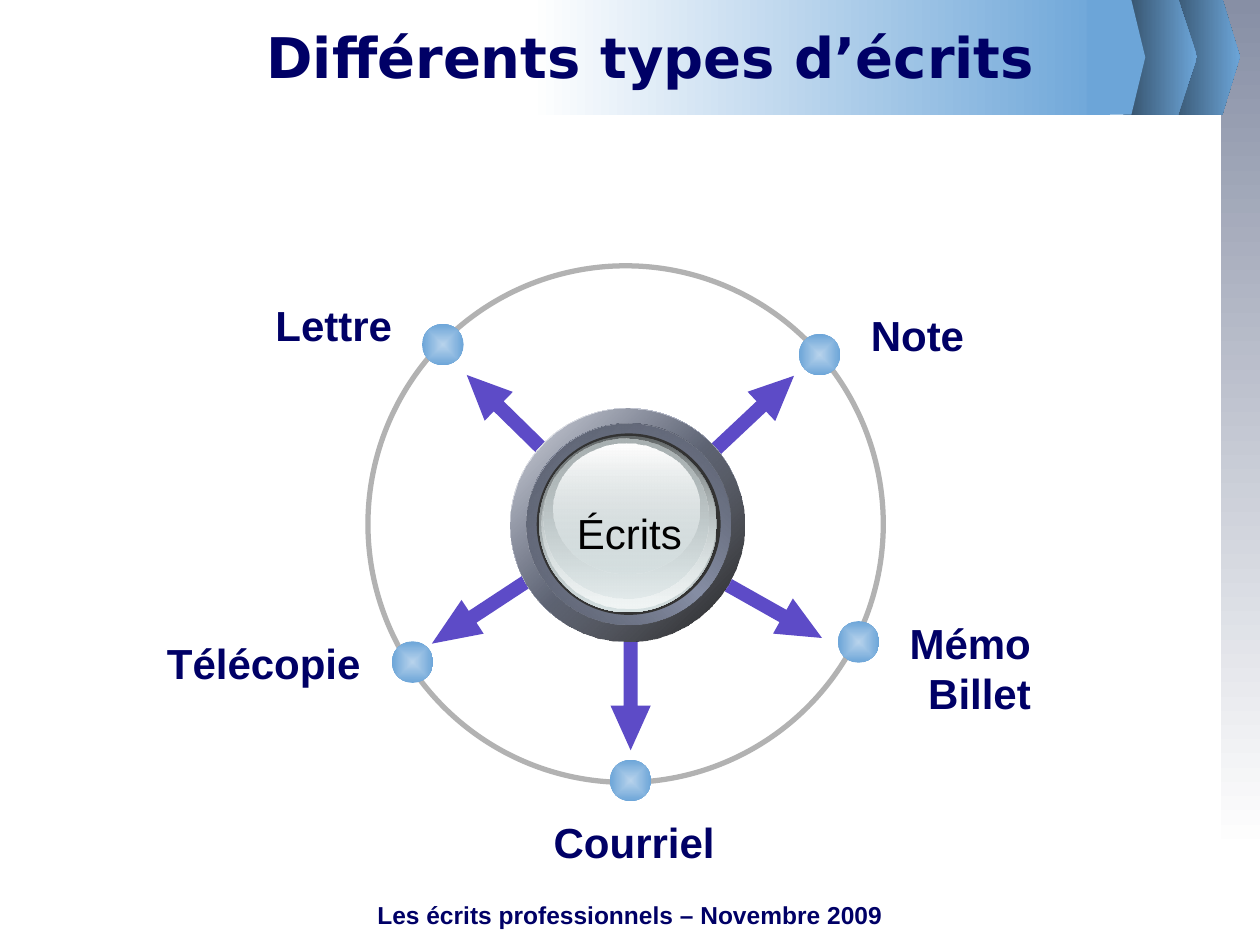
from lxml import etree
from pptx import Presentation
from pptx.dml.color import RGBColor
from pptx.enum.shapes import MSO_SHAPE as Preset
from pptx.enum.text import MSO_ANCHOR as Anchor, PP_ALIGN as Align
from pptx.oxml.ns import nsdecls, qn
from pptx.util import Inches, Pt

NAVY, BLUE, PALE_BLUE, STEEL = "000066", "6CA5D8", "B8D3EC", "878FA5"
DARK_BLUE, PURPLE, GREY, WHITE, MIST = "324C64", "5D4BC7", "B2B2B2", "FFFFFF", "D6E1E2"


def color(value):
    return RGBColor.from_string(value)


def apply(target, values):
    for name, value in values.items():
        setattr(target, name, value)


class SlideStyle:
    label_font = {"name": "Arial", "size": Pt(24), "bold": True}
    hub_font = {"name": "Arial", "size": Pt(24), "bold": False}
    footer_font = {"name": "Arial", "size": Pt(14), "bold": True}
    title_font = {"name": "DejaVu Sans", "size": Pt(32), "bold": True}

    def __init__(self, page):
        self.page = page

    def paint(self, shape, fill=None, line=None, weight=0.75):
        shape.shadow.inherit = False
        shape.fill.background()
        if fill:
            shape.fill.solid()
            shape.fill.fore_color.rgb = color(fill)
        if line:
            shape.line.color.rgb = color(line)
            shape.line.width = Pt(weight)
        else:
            shape.line.fill.background()
        return shape

    def blend(self, shape, stops, angle=None):
        self.paint(shape)
        marks = "".join(
            f'<a:gs pos="{pos * 1000}"><a:srgbClr val="{value}">'
            f'<a:alpha val="{opacity * 1000}"/></a:srgbClr></a:gs>'
            for pos, value, opacity in stops)
        if angle is None:
            course = ('<a:path path="rect"><a:fillToRect l="50000" t="50000" '
                      'r="50000" b="50000"/></a:path>')
        else:
            course = f'<a:lin ang="{angle * 60000}" scaled="0"/>'
        gradient = etree.fromstring(
            f'<a:gradFill {nsdecls("a")} rotWithShape="1">'
            f'<a:gsLst>{marks}</a:gsLst>{course}</a:gradFill>')
        properties = shape.element.spPr
        properties.replace(properties.find(qn("a:noFill")), gradient)

    def shape(self, preset, place):
        return self.page.shapes.add_shape(preset, *map(Inches, place))

    def chevron(self, left, top, shoulder, tip, height):
        outline = [(shoulder, top), (tip, top + height / 2),
                   (shoulder, top + height), (left, top + height)]
        builder = self.page.shapes.build_freeform(Inches(left), Inches(top))
        builder.add_line_segments([(Inches(x), Inches(y)) for x, y in outline])
        return builder.convert_to_shape()

    def arrow(self, place, angle, head):
        arrow = self.paint(self.shape(Preset.RIGHT_ARROW, place), PURPLE)
        arrow.rotation = angle
        arrow.adjustments[0], arrow.adjustments[1] = 0.35, head

    def set_text(self, shape, lines, font, align, value=NAVY, **frame):
        apply(shape.text_frame, {"word_wrap": True, **frame})
        shape.text_frame.text = "\n".join(lines)
        for para in shape.text_frame.paragraphs:
            para.alignment = align
            apply(para.font, font)
            para.font.color.rgb = color(value)

    def label(self, place, lines, font=label_font, align=Align.RIGHT, value=NAVY, right=0.1):
        box = self.page.shapes.add_textbox(*map(Inches, place))
        self.set_text(box, lines, font, align, value,
                      margin_left=0, margin_right=Inches(right))

    def title(self, place, text):
        title = self.page.shapes.title
        apply(title, dict(zip(("left", "top", "width", "height"), map(Inches, place))))
        self.set_text(title, [text], self.title_font, Align.CENTER,
                      vertical_anchor=Anchor.MIDDLE)
        title.element.getparent().append(title.element)


def draw_banner(style):
    style.blend(style.shape(Preset.RECTANGLE, (9.69, 0, 0.31, 6.77)),
                [(0, STEEL, 100), (100, WHITE, 100)], 90)
    for left, shoulder, tip in [(9.25, 9.7, 9.84), (8.91, 9.35, 9.5)]:
        style.blend(style.chevron(left, -0.01, shoulder, tip, 0.92),
                    [(0, DARK_BLUE, 100), (100, BLUE, 100)], 0)
    style.blend(style.shape(Preset.RECTANGLE, (4.21, 0, 4.6, 0.91)),
                [(0, WHITE, 100), (100, BLUE, 100)], 0)
    style.paint(style.chevron(8.63, 0, 8.98, 9.09, 0.91), BLUE)
    style.title((1.25, 0.12, 7.83, 0.65), "Différents types d’écrits")


def draw_wheel(style):
    for left, top, width, angle, head in [
            (5.55, 3.12, 0.87, 316.8, 1.11), (3.58, 3.12, 0.87, 224.4, 1.11),
            (4.57, 5.36, 0.87, 90, 1.11), (5.71, 4.69, 0.87, 29.4, 1.11),
            (3.35, 4.69, 0.94, 146.7, 1.21)]:
        style.arrow((left, top, width, 0.32), angle, head)
    style.paint(style.shape(Preset.OVAL, (2.92, 2.11, 4.09, 4.1)), line=GREY, weight=3)
    for place, lines in [
            ((6.81, 2.41, 0.94, 0.5), ["Note"]),
            ((2.09, 2.33, 1.12, 0.5), ["Lettre"]),
            ((7.05, 4.85, 1.23, 0.9), ["Mémo", "Billet"]),
            ((0.51, 5.01, 2.45, 0.5), ["Télécopie"]),
            ((4.29, 6.43, 1.48, 0.5), ["Courriel"])]:
        style.label(place, lines)
    for left, top in [(3.11, 5.09), (3.35, 2.57), (6.34, 2.65), (4.84, 6.03), (6.65, 4.93)]:
        style.blend(style.shape(Preset.OVAL, (left, top, 0.33, 0.33)),
                    [(0, PALE_BLUE, 100), (100, BLUE, 100)])


def draw_hub(style):
    rim, groove = (4.05, 3.24, 1.86, 1.85), (4.18, 3.36, 1.62, 1.6)
    rings = [
        (rim, [(0, WHITE, 100), (50, STEEL, 100), (100, WHITE, 100)], 45),
        (rim, [(0, STEEL, 32), (100, "000000", 90)], 45),
        (groove, [(0, "494D59", 100), (50, STEEL, 100), (100, "494D59", 100)], 315),
        (groove, [(0, "565B69", 100), (100, STEEL, 0)], 45)]
    glass = [
        ((4.28, 3.46, 1.41, 1.4), [(0, "636869", 100), (100, MIST, 100)], 90),
        ((4.3, 3.47, 1.38, 1.36), [(0, MIST, 0), (100, "F1F5F5", 100)], 90),
        ((4.31, 3.48, 1.31, 1.27), [(0, "AAB2B3", 100), (100, MIST, 48)], 90),
        ((4.39, 3.52, 1.16, 1.03), [(0, WHITE, 100), (100, MIST, 38)], 90)]
    for place, stops, angle in rings:
        style.blend(style.shape(Preset.OVAL, place), stops, angle)
    style.paint(style.shape(Preset.OVAL, (4.26, 3.44, 1.46, 1.44)), "333333")
    for place, stops, angle in glass:
        style.blend(style.shape(Preset.OVAL, place), stops, angle)
    style.label((4.48, 3.98, 1.03, 0.5), ["Écrits"], style.hub_font,
                Align.CENTER, "000000", 0)


def main():
    deck = Presentation()
    apply(deck, {"slide_width": Inches(10), "slide_height": Inches(7.5)})
    style = SlideStyle(deck.slides.add_slide(deck.slide_layouts[5]))
    draw_banner(style)
    draw_wheel(style)
    draw_hub(style)
    footer = style.paint(style.shape(Preset.RECTANGLE, (0, 7.09, 10, 0.34)), WHITE, WHITE)
    style.set_text(footer, ["Les écrits professionnels – Novembre 2009"],
                   style.footer_font, Align.CENTER, vertical_anchor=Anchor.TOP)
    deck.save("out.pptx")


if __name__ == "__main__":
    main()
